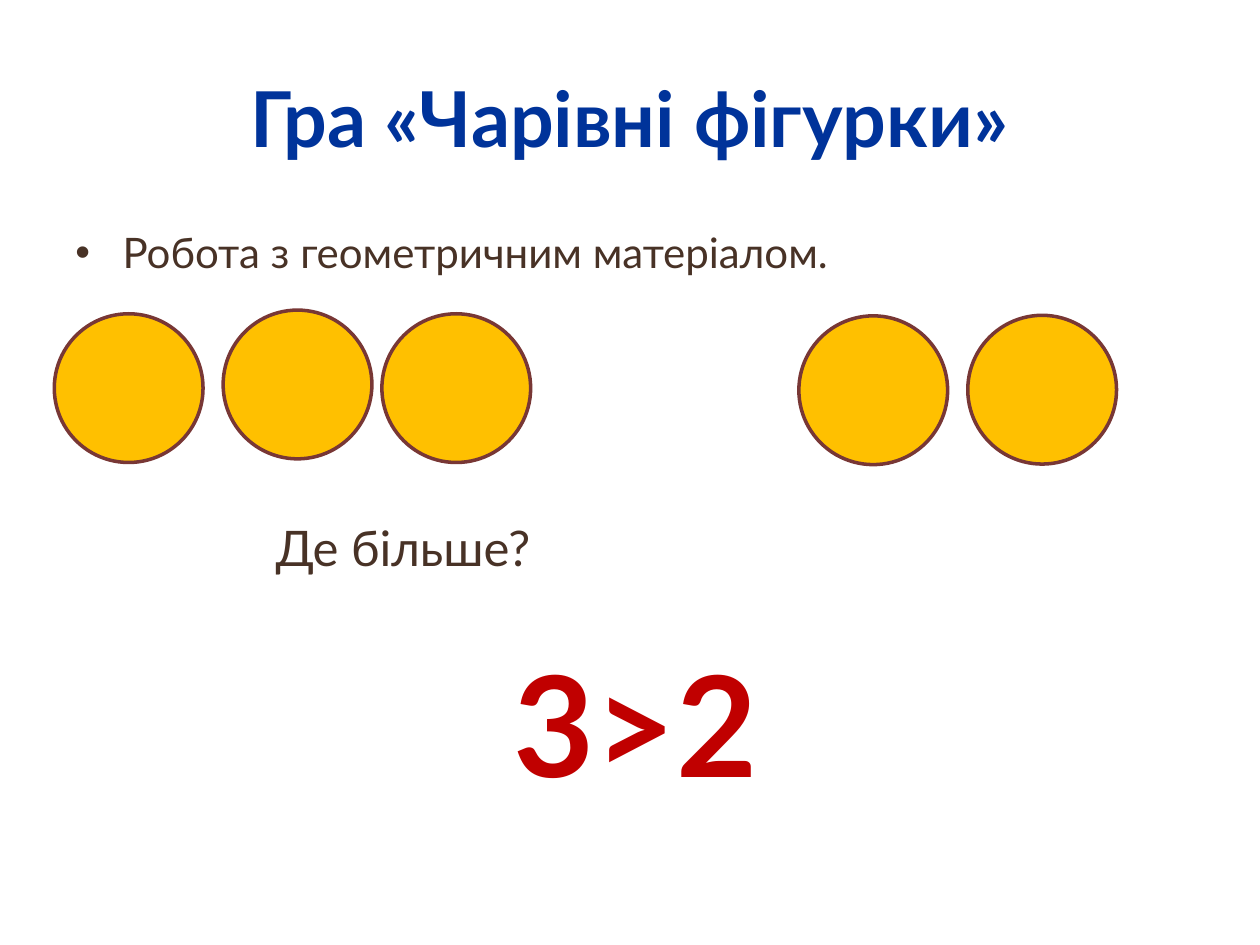
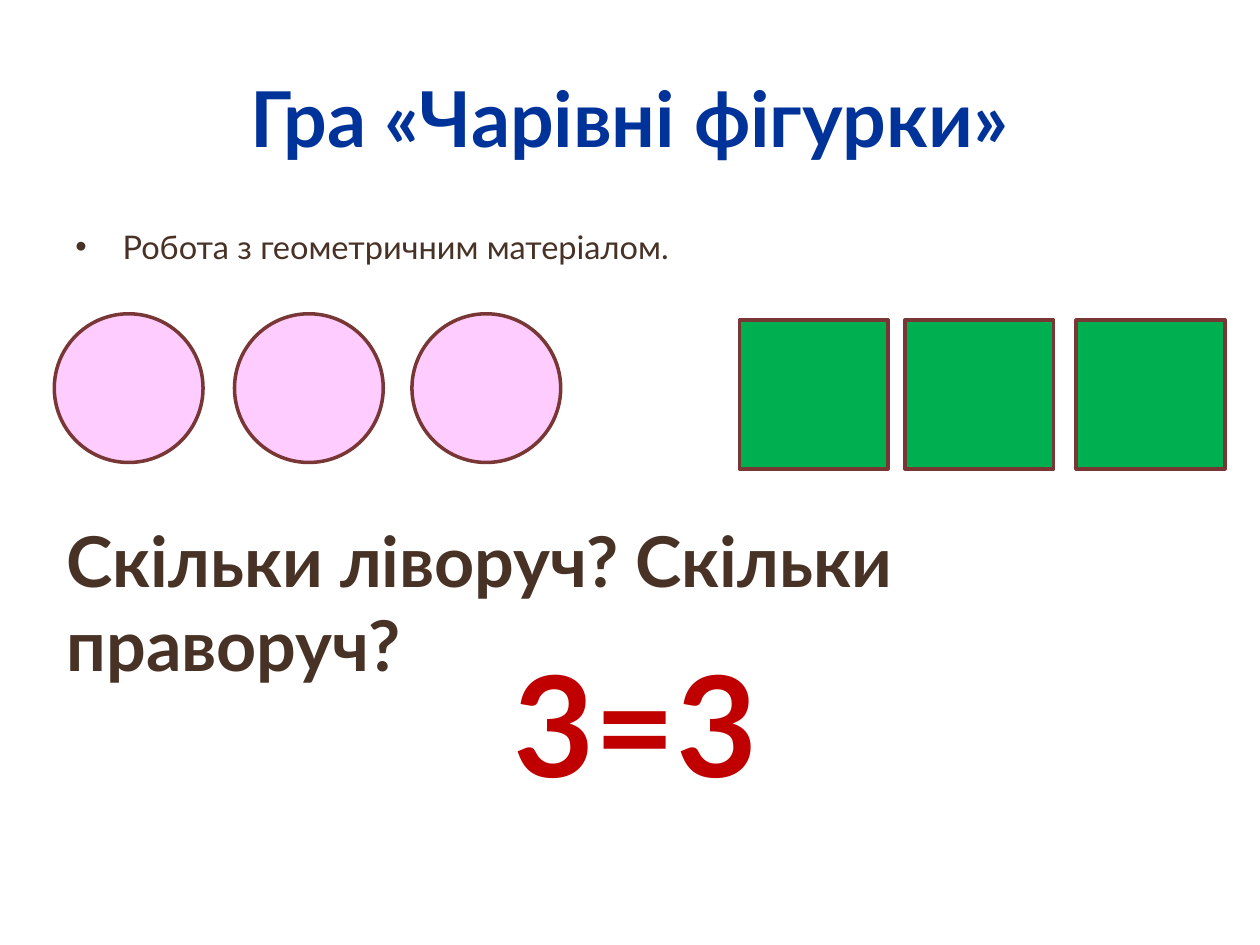
from pptx import Presentation
from pptx.dml.color import RGBColor
from pptx.enum.shapes import MSO_SHAPE as Shape
from pptx.enum.text import MSO_ANCHOR as Anchor, PP_ALIGN as Align
from pptx.oxml.ns import qn
from pptx.util import Pt
from lxml.etree import SubElement

FONT = "Lato"
BLUE, BROWN, RED = "00339A", "483226", "C00000"
GOLD, PINK, GREEN, EDGE = "FFC000", "FFCCFF", "00B050", "783735"
SIZE = 85


def color(code):
    return RGBColor.from_string(code)


def add_text(slide, box, text, size, code, bold=False, wrap=True):
    """Add a one-paragraph text box; return its frame and paragraph."""
    frame = slide.shapes.add_textbox(*map(Pt, box)).text_frame
    frame.word_wrap = wrap
    par = frame.paragraphs[0]
    par.text = text
    font = par.font
    font.name, font.size, font.bold = FONT, Pt(size), bold
    font.color.rgb = color(code)
    return frame, par


def add_title(slide):
    frame, par = add_text(slide, (36, 21.6, 648, 90), "Гра «Чарівні фігурки»",
                          44, BLUE, bold=True)
    frame.vertical_anchor = Anchor.MIDDLE
    par.alignment = Align.CENTER


def add_bullet(slide, size):
    _, par = add_text(slide, (36, 126, 607.7, 41.8),
                      "Робота з геометричним матеріалом.", size, BROWN)
    props = par._p.get_or_add_pPr()
    props.set("marL", str(Pt(27)))
    props.set("indent", str(Pt(-27)))
    face = SubElement(props, qn("a:buFont"))
    face.set("typeface", "Arial")
    mark = SubElement(props, qn("a:buChar"))
    mark.set("char", "•")
    # The schema wants the default font after the bullet
    props.append(props.find(qn("a:defRPr")))


def add_figures(slide, kind, fill, spots):
    """Add equal figures at the given (left, top) spots."""
    for left, top in spots:
        item = slide.shapes.add_shape(kind, Pt(left), Pt(top), Pt(SIZE), Pt(SIZE))
        item.shadow.inherit = False
        item.fill.solid()
        item.fill.fore_color.rgb = color(fill)
        item.line.color.rgb = color(EDGE)
        item.line.width = Pt(2)


def add_game(deck, size, answer):
    """Add a slide with the title, task and answer that all games share."""
    slide = deck.slides.add_slide(deck.slide_layouts[6])
    add_title(slide)
    add_bullet(slide, size)
    add_text(slide, (286.5, 360.7, 157, 104.4), answer, 80, RED,
             bold=True, wrap=False)
    return slide


def main():
    deck = Presentation()
    deck.slide_width, deck.slide_height = Pt(720), Pt(540)

    more = add_game(deck, 24, "3>2")
    add_text(more, (150.5, 292.3, 198.7, 51), "Де більше?", 28, BROWN)
    add_figures(more, Shape.OVAL, GOLD,
                [(31, 179.3), (127.5, 177.2), (218.2, 179.3),
                 (456.5, 180.5), (553, 180.2)])

    same = add_game(deck, 18.6, "3=3")
    add_text(same, (31, 292.3, 669, 51), "Cкільки ліворуч? Скільки праворуч?",
             40, BROWN, bold=True)
    add_figures(same, Shape.OVAL, PINK,
                [(left, 179.3) for left in (31, 134, 235.4)])
    add_figures(same, Shape.RECTANGLE, GREEN,
                [(left, 182.9) for left in (422.6, 517, 615)])

    deck.save("out.pptx")


if __name__ == "__main__":
    main()
